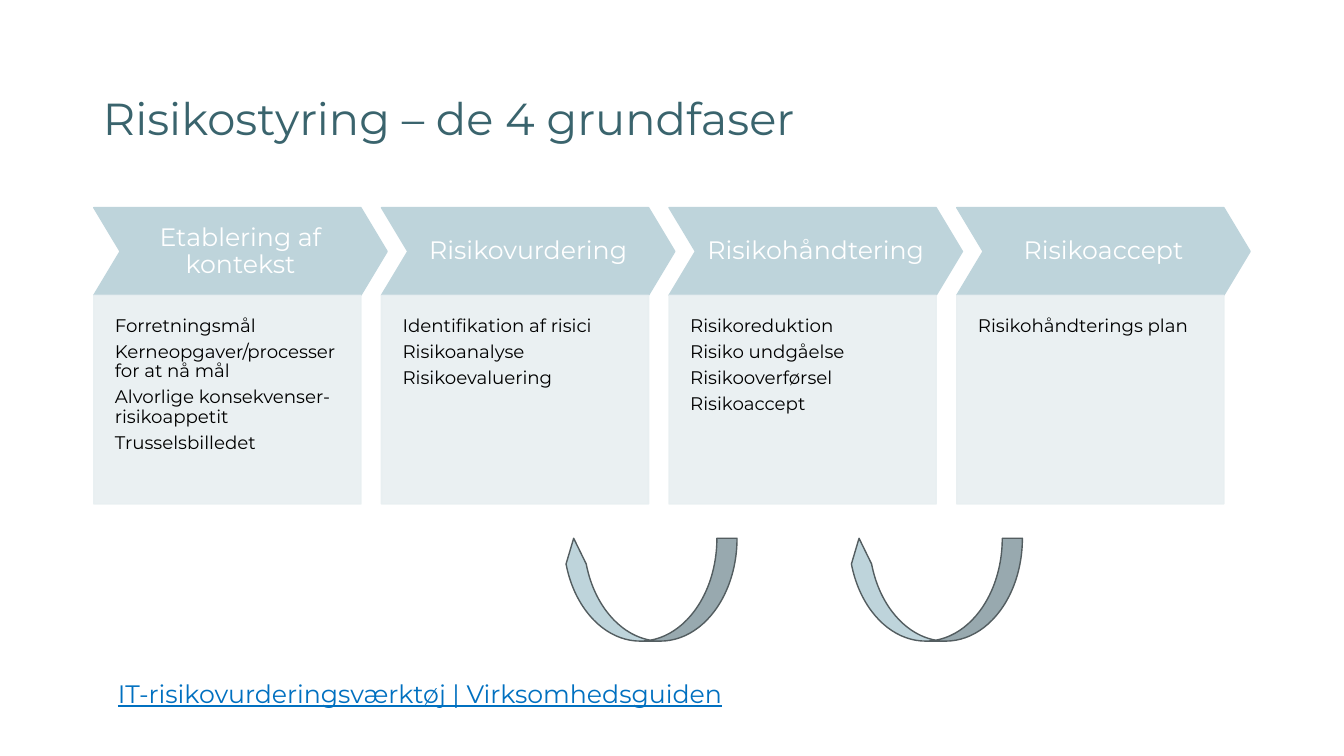
from lxml import etree
from pptx import Presentation
from pptx.dml.color import RGBColor
from pptx.enum import shapes, text
from pptx.oxml.ns import qn
from pptx.util import Inches, Pt

FONT = "Montserrat"
TEAL = RGBColor(0x3A, 0x64, 0x6D)
LIGHT_BLUE = RGBColor(0xBE, 0xD4, 0xDB)
PALE = RGBColor(0xE8, 0xEF, 0xF1)
OUTLINE = RGBColor(0x53, 0x5D, 0x60)
LINK_BLUE = RGBColor(0x00, 0x70, 0xC0)
WHITE = RGBColor(0xFF, 0xFF, 0xFF)
BLACK = RGBColor(0x00, 0x00, 0x00)

PHASES = [
    ("Etablering af kontekst", [
        "Forretningsmål",
        "Kerneopgaver/processer for at nå mål",
        "Alvorlige konsekvenser- risikoappetit",
        "Trusselsbilledet",
    ]),
    ("Risikovurdering", [
        "Identifikation af risici",
        "Risikoanalyse",
        "Risikoevaluering",
    ]),
    ("Risikohåndtering", [
        "Risikoreduktion",
        "Risiko undgåelse",
        "Risikooverførsel",
        "Risikoaccept",
    ]),
    ("Risikoaccept", ["Risikohåndterings plan"]),
]
PHASE_LEFT, PHASE_STEP = 0.93, 2.853
ARROW_LEFTS = (5.94, 8.77)


def write_text(frame, lines, size, color, align=text.PP_ALIGN.LEFT,
               anchor=text.MSO_ANCHOR.TOP, line_spacing=0.9, gap=0):
    frame.word_wrap = True
    frame.vertical_anchor = anchor
    for index, line in enumerate(lines):
        paragraph = frame.add_paragraph() if index else frame.paragraphs[0]
        paragraph.text = line
        paragraph.alignment = align
        paragraph.line_spacing = line_spacing
        paragraph.space_before = Pt(0)
        paragraph.space_after = Pt(gap)
        paragraph.font.name = FONT
        paragraph.font.size = Pt(size)
        paragraph.font.color.rgb = color


def set_insets(frame, side, bottom):
    frame.margin_left = frame.margin_right = frame.margin_top = Inches(side)
    frame.margin_bottom = Inches(bottom)


def add_filled_shape(slide, kind, left, top, width, height, fill, line):
    shape = slide.shapes.add_shape(
        kind, Inches(left), Inches(top), Inches(width), Inches(height))
    shape.shadow.inherit = False
    shape.fill.solid()
    shape.fill.fore_color.rgb = fill
    shape.line.color.rgb = line
    shape.line.width = Pt(1)
    return shape


def set_opacity(shape, percent):
    for color in shape._element.spPr.iter(qn("a:srgbClr")):
        etree.SubElement(color, qn("a:alpha"), val=str(percent * 1000))


def add_title(slide, wording):
    title = slide.shapes.title
    title.left, title.top = Inches(0.92), Inches(0.7)
    title.width, title.height = Inches(11.5), Inches(1.01)
    write_text(title.text_frame, [wording], 32, TEAL,
               anchor=text.MSO_ANCHOR.MIDDLE)


def add_phase(slide, left, heading, items):
    chevron = add_filled_shape(slide, shapes.MSO_SHAPE.CHEVRON, left, 2.06,
                               2.91, 0.87, LIGHT_BLUE, LIGHT_BLUE)
    chevron.adjustments[0] = 0.3
    set_insets(chevron.text_frame, 0.11, 0.11)
    write_text(chevron.text_frame, [heading], 18, WHITE,
               text.PP_ALIGN.CENTER, text.MSO_ANCHOR.MIDDLE)

    panel = add_filled_shape(slide, shapes.MSO_SHAPE.RECTANGLE, left, 2.93,
                             2.65, 2.07, PALE, PALE)
    set_opacity(panel, 90)
    set_insets(panel.text_frame, 0.21, 0.42)
    write_text(panel.text_frame, items, 13, BLACK, gap=4.5)


def add_return_arrow(slide, left):
    arrow = add_filled_shape(slide, shapes.MSO_SHAPE.CURVED_LEFT_ARROW, left,
                             4.99, 1.02, 1.72, LIGHT_BLUE, OUTLINE)
    arrow.rotation = 90
    for index, value in enumerate((0.25, 0.196, 0.25)):
        arrow.adjustments[index] = value


def add_source_line(slide, wording):
    box = slide.shapes.add_textbox(
        Inches(1.07), Inches(6.68), Inches(6.67), Inches(0.4))
    write_text(box.text_frame, [wording], 18, LINK_BLUE, line_spacing=1.0)
    box.text_frame.paragraphs[0].font.underline = True


def main():
    presentation = Presentation()
    presentation.slide_width = Inches(13.33)
    presentation.slide_height = Inches(7.5)
    slide = presentation.slides.add_slide(presentation.slide_layouts[5])

    add_title(slide, "Risikostyring – de 4 grundfaser")

    # Four phases, each a chevron above a list panel
    for index, (heading, items) in enumerate(PHASES):
        add_phase(slide, PHASE_LEFT + index * PHASE_STEP, heading, items)

    # Arrows leading back to the previous phase
    for left in ARROW_LEFTS:
        add_return_arrow(slide, left)

    add_source_line(slide, "IT-risikovurderingsværktøj | Virksomhedsguiden")
    presentation.save("out.pptx")


if __name__ == "__main__":
    main()
